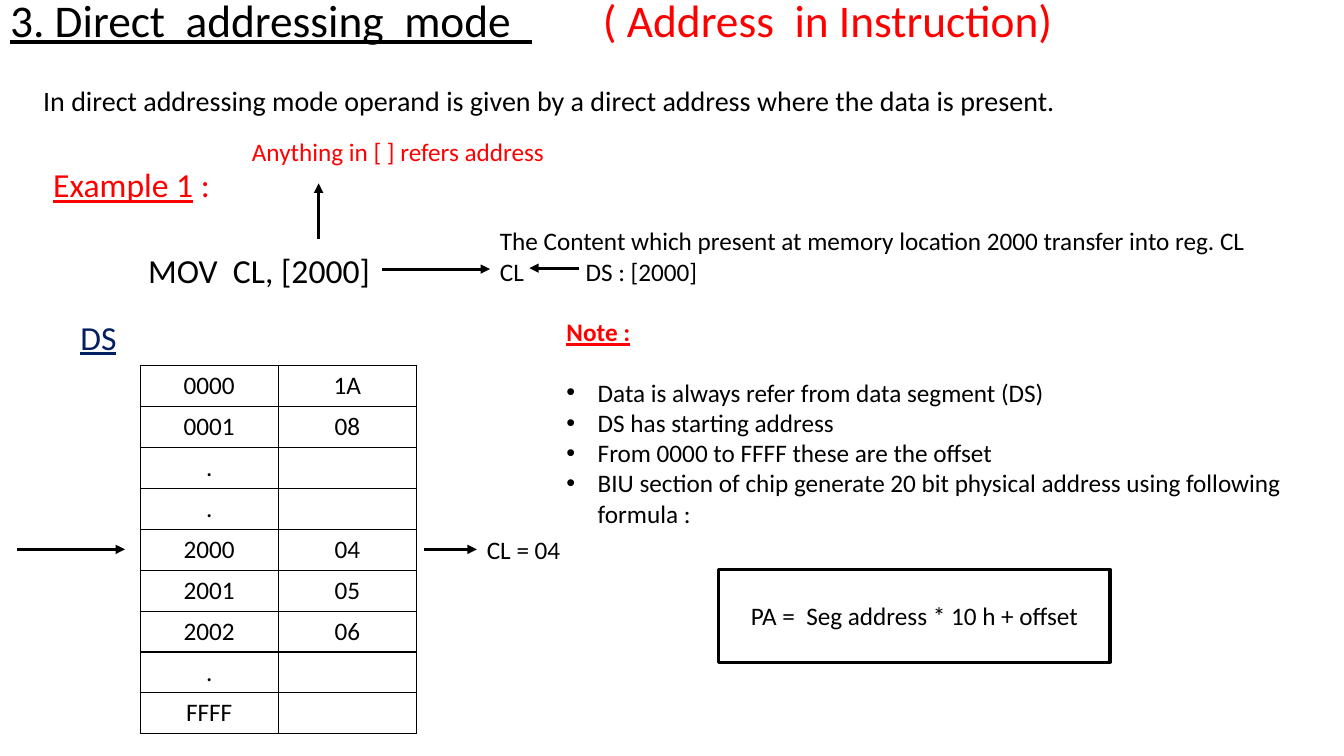
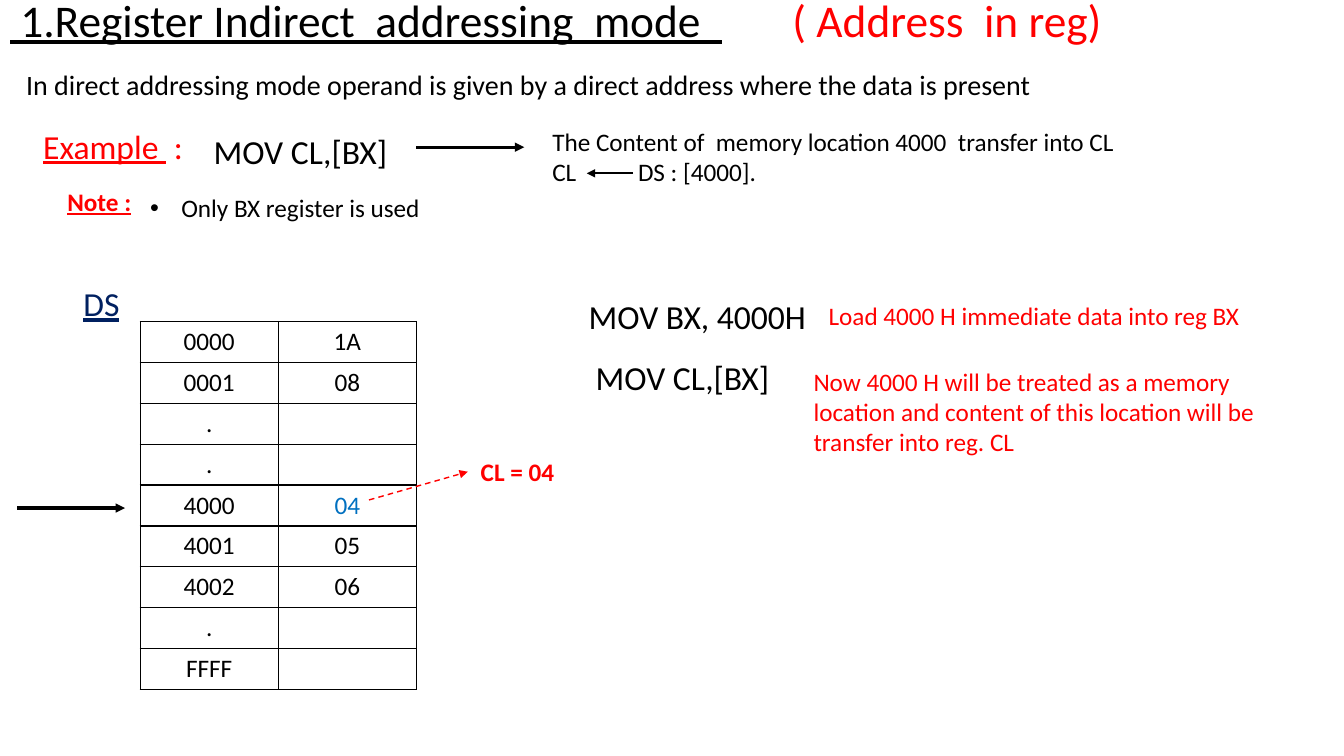
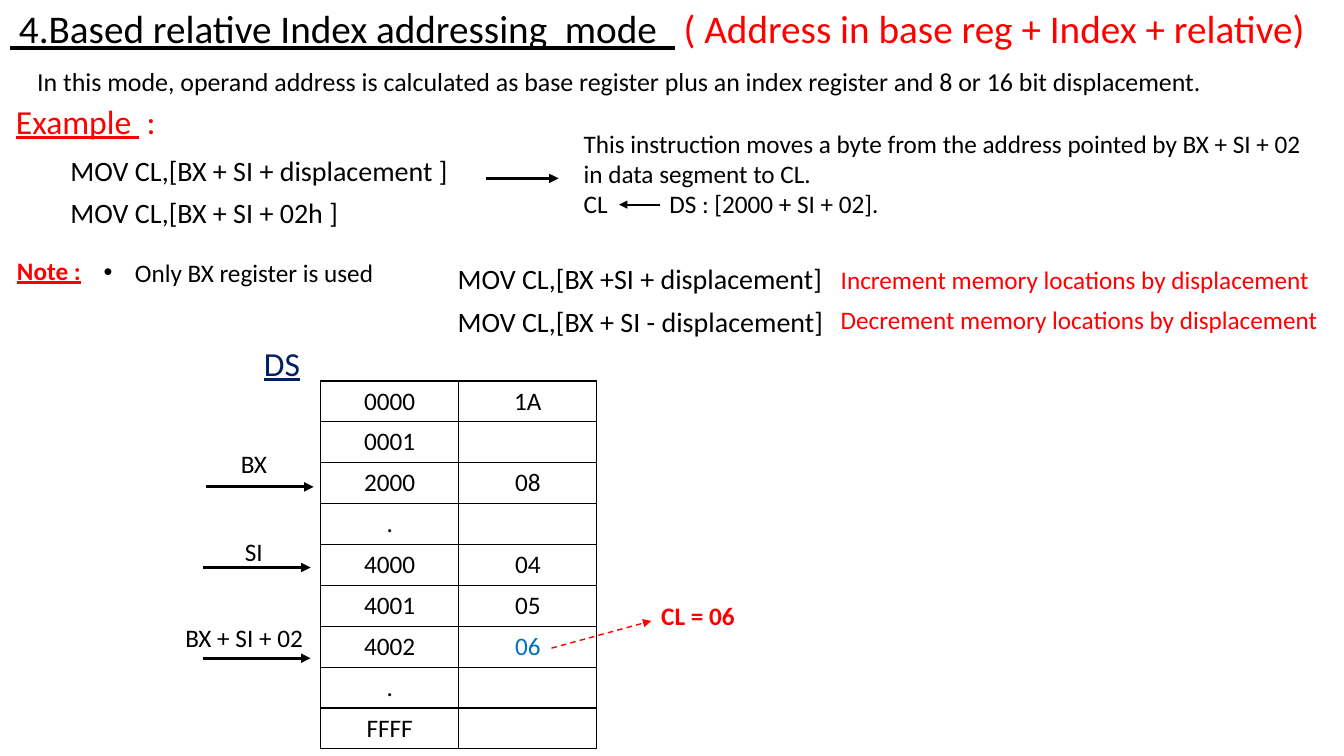
from pptx import Presentation
from pptx.dml.color import RGBColor
from pptx.enum import dml, shapes, text
from pptx.oxml import parse_xml
from pptx.oxml.ns import nsdecls, qn
from pptx.util import Inches, Pt
from lxml import etree

FONT = "Calibri"
COLORS = {"black": "000000", "red": "FF0000", "navy": "002060", "blue": "0070C0"}

# style: size, colour, bold, first run underlined, line spacing
STYLES = {
    "intro": (20, "black", False, False, 0.9),
    "long intro": (18.5, "black", False, False, 0.9),
    "example": (24, "red", False, True, 1),
    "code": (24, "black", False, False, 0.9),
    "small code": (20, "black", False, False, 0.9),
    "text": (18, "black", False, False, 1),
    "bullets": (18, "black", False, False, 1),
    "remark": (18, "red", False, False, 1),
    "result": (18, "red", True, False, 1),
    "note": (18, "red", True, True, 1),
    "segment": (24, "navy", False, True, 1),
}
# arrow: width, colour, dash
ARROWS = {
    "bold": (2.25, "black", None),
    "thin": (1.5, "black", None),
    "result": (1, "red", dml.MSO_LINE.DASH),
}
TRANSFER_TAB = 0.85
COL_W, TABLE_H = 1.37, 3.65

# title: text, remark, remark tab, size, top
# texts: style, (left, top, width, height), paragraphs (a tuple holds runs)
# arrows: style, from, to
# memory: (left, top), rows of (offset, value), value shown in blue
SLIDES = [
    {
        "title": ("3. Direct  addressing  mode  ", "( Address  in Instruction)", 5.88, 32.4, -0.02),
        "texts": [
            ("intro", (0.33, 0.82, 12.09, 0.58),
             ["In direct addressing mode operand is given by a direct address where the data is present."]),
            ("example", (0.43, 1.58, 2.33, 0.5), [("Example 1", " :")]),
            ("code", (1.37, 2.48, 2.62, 0.52), ["MOV  CL, [2000]"]),
            ("text", (4.86, 2.19, 7.77, 0.71),
             ["The Content which present at memory location 2000 transfer into reg. CL",
              "CL\tDS : [2000]"]),
            ("remark", (2.4, 1.3, 3.61, 0.4), ["Anything in [ ] refers address"]),
            ("segment", (0.7, 3.09, 1.03, 0.5), ["DS"]),
            ("text", (4.73, 5.25, 1.05, 0.4), ["CL = 04"]),
            ("note", (5.52, 3.09, 0.86, 0.4), ["Note :"]),
            ("bullets", (5.52, 3.69, 7.81, 1.62),
             ["Data is always refer from data segment (DS)",
              "DS has starting address",
              "From 0000 to FFFF these are the offset",
              "BIU section of chip generate 20 bit physical address using following formula :"]),
        ],
        "arrows": [
            ("bold", (3.79, 2.67), (4.86, 2.67)),
            ("bold", (3.16, 2.37), (3.16, 1.82)),
            ("bold", (0.17, 5.45), (1.24, 5.45)),
            ("bold", (4.21, 5.45), (4.73, 5.45)),
            ("bold", (5.74, 2.66), (5.25, 2.66)),
        ],
        "memory": ((1.39, 3.63),
                   [("0000", "1A"), ("0001", "08"), (".", ""), (".", ""), ("2000", "04"),
                    ("2001", "05"), ("2002", "06"), (".", ""), ("FFFF", "")], None),
        "formula": ((7.13, 5.65, 3.88, 0.92), "PA =  Seg address * 10 h + offset"),
    },
    {
        "title": (" 1.Register Indirect  addressing  mode  ", "( Address  in reg)", 7.76, 32.4, -0.02),
        "texts": [
            ("intro", (0.16, 0.66, 12.09, 0.58),
             ["In direct addressing mode operand is given by a direct address where the data is present"]),
            ("example", (0.33, 1.2, 2.33, 0.5), [("Example ", " :")]),
            ("code", (2.02, 1.29, 2.62, 0.52), ["MOV CL,[BX]"]),
            ("segment", (0.73, 2.76, 1.03, 0.5), ["DS"]),
            ("note", (0.57, 1.8, 0.86, 0.4), ["Note :"]),
            ("bullets", (1.39, 1.86, 3.13, 0.4), ["Only BX register is used"]),
            ("text", (5.38, 1.2, 7.77, 0.71),
             ["The Content of  memory location 4000  transfer into CL", "CL\tDS : [4000]."]),
            ("result", (4.67, 4.48, 1.07, 0.4), ["CL = 04"]),
            ("code", (5.74, 2.93, 2.62, 0.52), ["MOV BX, 4000H"]),
            ("remark", (8.12, 2.93, 4.92, 0.4), ["Load 4000 H immediate data into reg BX"]),
            ("code", (5.81, 3.54, 2.62, 0.52), ["MOV CL,[BX]"]),
            ("remark", (7.97, 3.58, 4.92, 1.01),
             ["Now 4000 H will be treated as a memory location and content of this location "
              "will be transfer into reg. CL"]),
        ],
        "arrows": [
            ("bold", (4.13, 1.46), (5.2, 1.46)),
            ("bold", (0.17, 5.04), (1.24, 5.04)),
            ("thin", (6.28, 1.72), (5.82, 1.72)),
            ("result", (3.66, 4.96), (4.64, 4.68)),
        ],
        "memory": ((1.39, 3.19),
                   [("0000", "1A"), ("0001", "08"), (".", ""), (".", ""), ("4000", "04"),
                    ("4001", "05"), ("4002", "06"), (".", ""), ("FFFF", "")], "04"),
    },
    {
        "title": (" 4.Based relative Index addressing  mode  ",
                  "( Address in base reg + Index + relative)", 6.68, 28, 0.1),
        "texts": [
            ("long intro", (0.27, 0.64, 12.68, 0.58),
             ["In this mode, operand address is calculated as base register plus an index register "
              "and 8 or 16 bit displacement."]),
            ("example", (0.06, 0.95, 2.33, 0.5), [("Example ", " :")]),
            ("segment", (2.52, 3.35, 1.03, 0.5), ["DS"]),
            ("note", (0.07, 2.48, 0.86, 0.4), ["Note :"]),
            ("bullets", (0.93, 2.5, 3.13, 0.4), ["Only BX register is used"]),
            ("result", (6.46, 5.91, 1.07, 0.4), ["CL = 06"]),
            ("text", (1.74, 6.12, 1.56, 0.4), ["BX + SI + 02"]),
            ("text", (2.29, 4.4, 0.57, 0.4), ["BX"]),
            ("text", (2.33, 5.27, 0.57, 0.4), ["SI"]),
            ("small code", (0.6, 1.51, 4.22, 0.52), ["MOV CL,[BX + SI + displacement ]"]),
            ("small code", (0.6, 1.93, 4.22, 0.52), ["MOV CL,[BX + SI + 02h ]"]),
            ("text", (5.69, 1.22, 7.38, 1.01),
             ["This instruction moves a byte from the address pointed by BX + SI + 02 "
              "in data segment to CL.", "CL\tDS : [2000 + SI + 02]."]),
            ("small code", (4.44, 2.58, 4.27, 0.52), ["MOV CL,[BX +SI + displacement]"]),
            ("small code", (4.44, 3.01, 4.27, 0.52), ["MOV CL,[BX + SI - displacement]"]),
            ("remark", (8.24, 2.57, 5.09, 0.4), ["Increment memory locations by displacement"]),
            ("remark", (8.24, 2.97, 5.09, 0.4), ["Decrement memory locations by displacement"]),
        ],
        "arrows": [
            ("bold", (4.82, 1.77), (5.54, 1.77)),
            ("bold", (2.04, 4.83), (3.11, 4.83)),
            ("bold", (2.01, 5.63), (3.08, 5.63)),
            ("bold", (2.01, 6.53), (3.08, 6.53)),
            ("thin", (6.55, 2.03), (6.14, 2.03)),
            ("result", (5.47, 6.43), (6.46, 6.16)),
        ],
        "memory": ((3.18, 3.78),
                   [("0000", "1A"), ("0001", ""), ("2000", "08"), (".", ""), ("4000", "04"),
                    ("4001", "05"), ("4002", "06"), (".", ""), ("FFFF", "")], "06"),
    },
]


def rgb(name):
    return RGBColor.from_string(COLORS[name])


def format_font(font, size, color, bold=False, underline=False):
    font.name, font.size = FONT, Pt(size)
    font.bold, font.underline = bold, underline
    font.color.rgb = rgb(color)


def add_run(p, content, *font):
    r = p.add_run()
    r.text = content
    format_font(r.font, *font)


def set_tab(p, position):
    p._p.get_or_add_pPr().append(parse_xml(
        f'<a:tabLst {nsdecls("a")}><a:tab pos="{Inches(position)}" algn="l"/></a:tabLst>'))


def set_bullet(p):
    pPr = p._p.get_or_add_pPr()
    pPr.set("marL", str(Inches(0.31)))
    pPr.set("indent", str(-Inches(0.31)))
    pPr.append(parse_xml(f'<a:buFont {nsdecls("a")} typeface="Arial"/>'))
    pPr.append(parse_xml(f'<a:buChar {nsdecls("a")} char="•"/>'))


def add_title(s, mode, remark, tab, size, top):
    title = s.shapes.title
    title.left, title.top = Inches(0), Inches(top)
    title.width, title.height = Inches(13.33), Inches(0.5)
    tf = title.text_frame
    tf.auto_size = text.MSO_AUTO_SIZE.NONE
    tf.vertical_anchor = text.MSO_ANCHOR.TOP
    tf.margin_top = tf.margin_bottom = 0
    p = tf.paragraphs[0]
    p.alignment, p.line_spacing = text.PP_ALIGN.LEFT, 0.9
    set_tab(p, tab)
    add_run(p, mode, size, "black", False, True)
    add_run(p, "\t", size, "black")
    add_run(p, remark, size, "red")


def add_text(s, style, box, paragraphs):
    size, color, bold, underline, spacing = STYLES[style]
    shape = s.shapes.add_textbox(*map(Inches, box))
    tf = shape.text_frame
    tf.word_wrap = True
    for i, content in enumerate(paragraphs):
        p = tf.add_paragraph() if i else tf.paragraphs[0]
        p.line_spacing = spacing
        runs = (content,) if isinstance(content, str) else content
        if style == "bullets":
            set_bullet(p)
        if "\t" in runs[0]:
            set_tab(p, TRANSFER_TAB)
        for j, part in enumerate(runs):
            add_run(p, part, size, color, bold, underline and j == 0)
    return shape


def add_arrow(s, style, start, end, boxes):
    """Draw an arrow and join it to a box whose left middle it reaches."""
    width, color, dash = ARROWS[style]
    line = s.shapes.add_connector(shapes.MSO_CONNECTOR.STRAIGHT, *map(Inches, start + end))
    line.line.width = Pt(width)
    line.line.color.rgb = rgb(color)
    if dash:
        line.line.dash_style = dash
    etree.SubElement(line.line._get_or_add_ln(), qn("a:tailEnd"), type="triangle")
    etree.SubElement(line._element.spPr, qn("a:effectLst"))
    tip = Inches(end[0]), Inches(end[1])
    for box in boxes:
        middle = box.top + box.height // 2
        if abs(box.left - tip[0]) + abs(middle - tip[1]) < Inches(0.01):
            line.end_connect(box, 1)


def set_borders(cell):
    tcPr = cell._tc.get_or_add_tcPr()
    for i, side in enumerate(("lnL", "lnR", "lnT", "lnB")):
        tcPr.insert(i, parse_xml(
            f'<a:{side} {nsdecls("a")} w="{Pt(1)}"><a:solidFill>'
            f'<a:srgbClr val="{COLORS["black"]}"/></a:solidFill></a:{side}>'))


def add_memory(s, corner, rows, marked):
    size = 2 * COL_W, TABLE_H
    table = s.shapes.add_table(len(rows), 2, *map(Inches, corner + size)).table
    table.first_row = table.horz_banding = False
    for i, row in enumerate(rows):
        table.rows[i].height = Inches(TABLE_H / len(rows))
        for j, value in enumerate(row):
            cell = table.cell(i, j)
            cell.fill.background()
            set_borders(cell)
            p = cell.text_frame.paragraphs[0]
            p.alignment = text.PP_ALIGN.CENTER
            if value:
                add_run(p, value, 18, "blue" if value == marked else "black")


def add_formula(s, box, content):
    shape = s.shapes.add_shape(shapes.MSO_SHAPE.RECTANGLE, *map(Inches, box))
    shape.shadow.inherit = False
    shape.fill.background()
    shape.line.color.rgb = rgb("black")
    shape.line.width = Pt(2.25)
    tf = shape.text_frame
    tf.word_wrap = True
    tf.vertical_anchor = text.MSO_ANCHOR.MIDDLE
    tf.paragraphs[0].alignment = text.PP_ALIGN.CENTER
    add_run(tf.paragraphs[0], content, 18, "black")


def main():
    prs = Presentation()
    prs.slide_width, prs.slide_height = Inches(13.33), Inches(7.5)
    for content in SLIDES:
        s = prs.slides.add_slide(prs.slide_layouts[5])
        add_title(s, *content["title"])
        add_memory(s, *content["memory"])
        boxes = [add_text(s, *item) for item in content["texts"]]
        for arrow in content["arrows"]:
            add_arrow(s, *arrow, boxes)
        if "formula" in content:
            add_formula(s, *content["formula"])
    prs.save("out.pptx")


if __name__ == "__main__":
    main()
